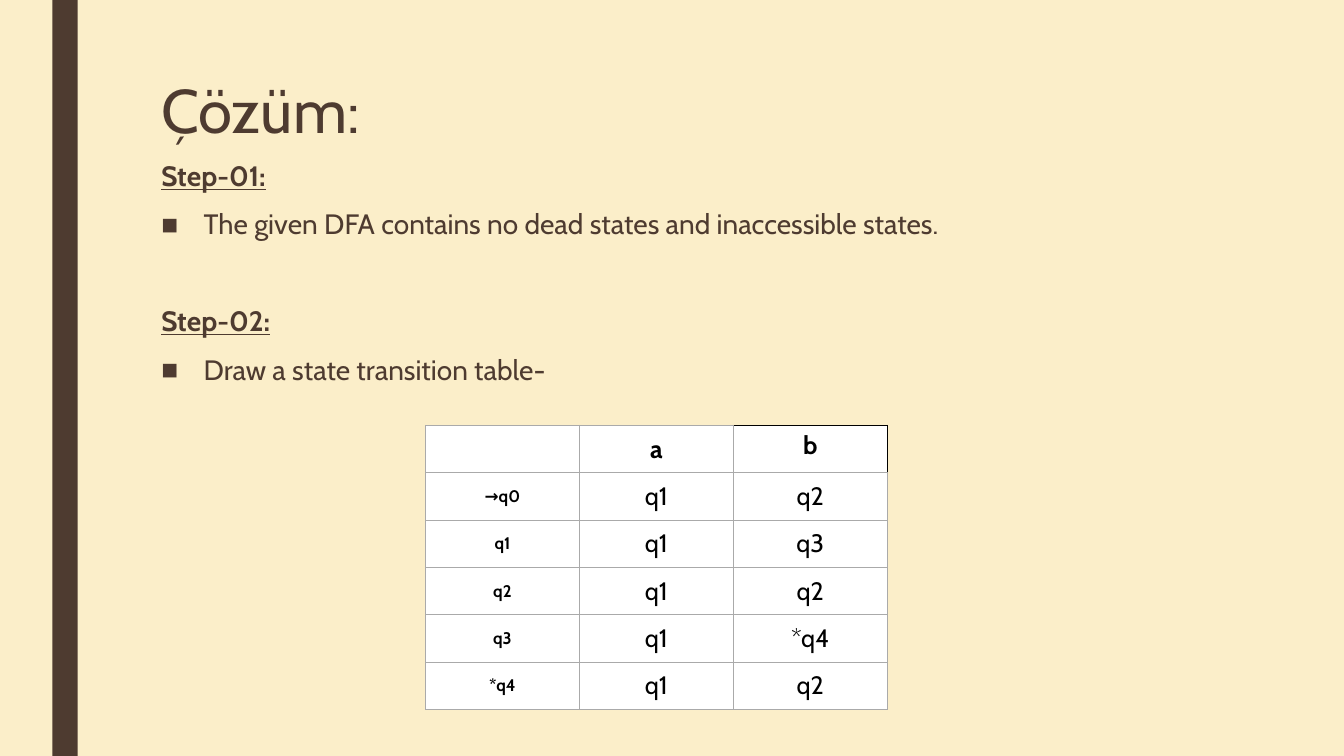
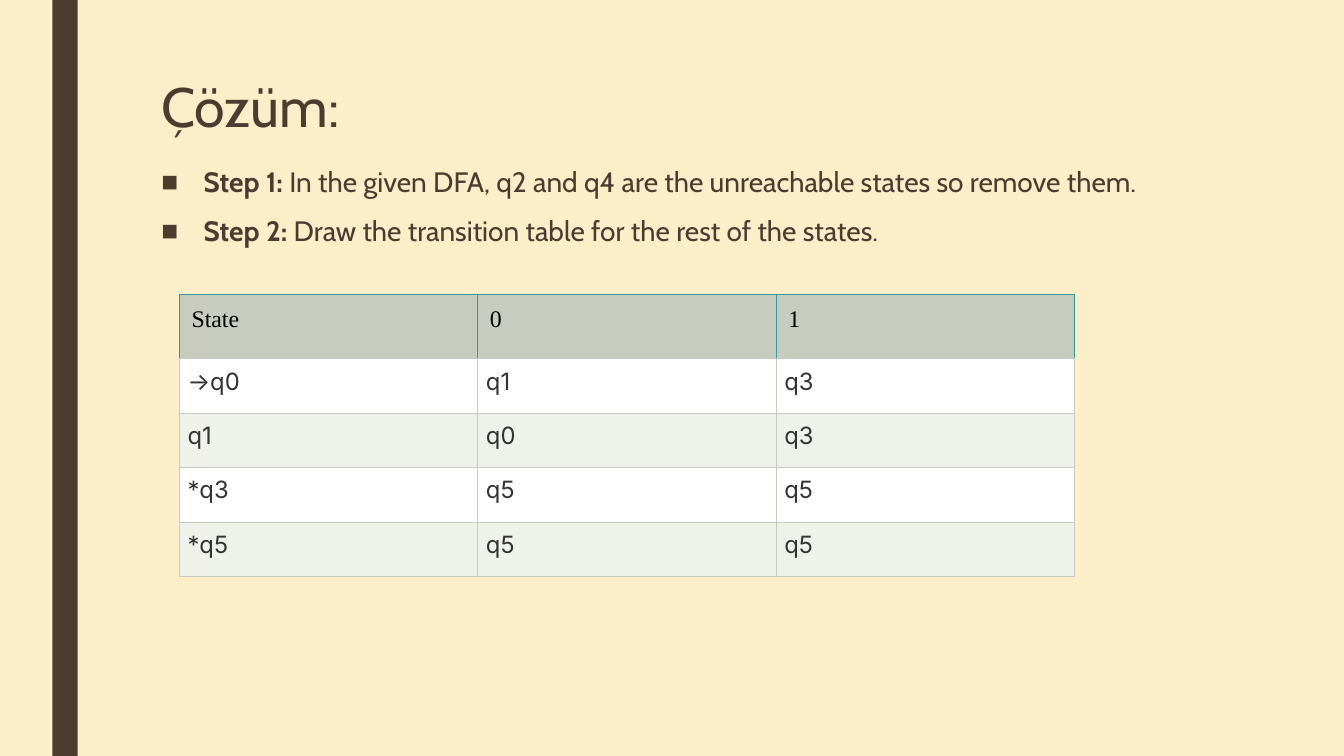
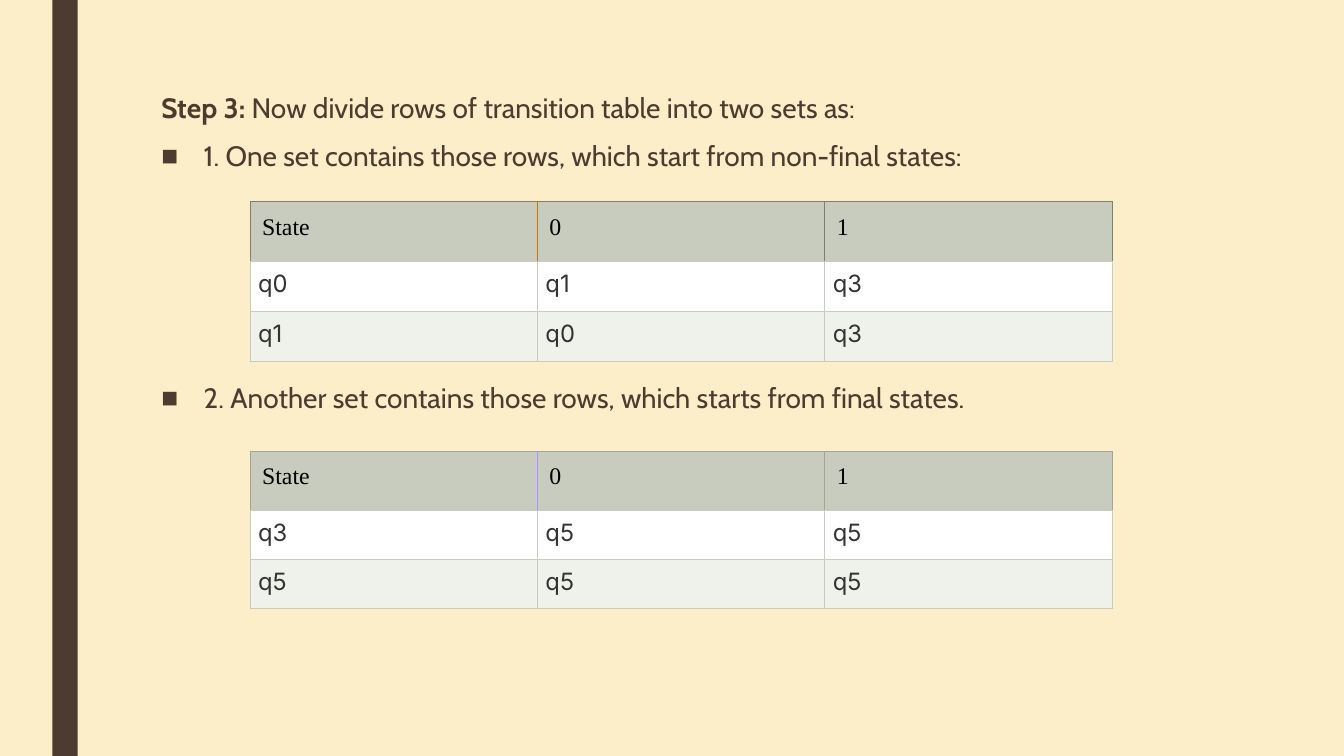
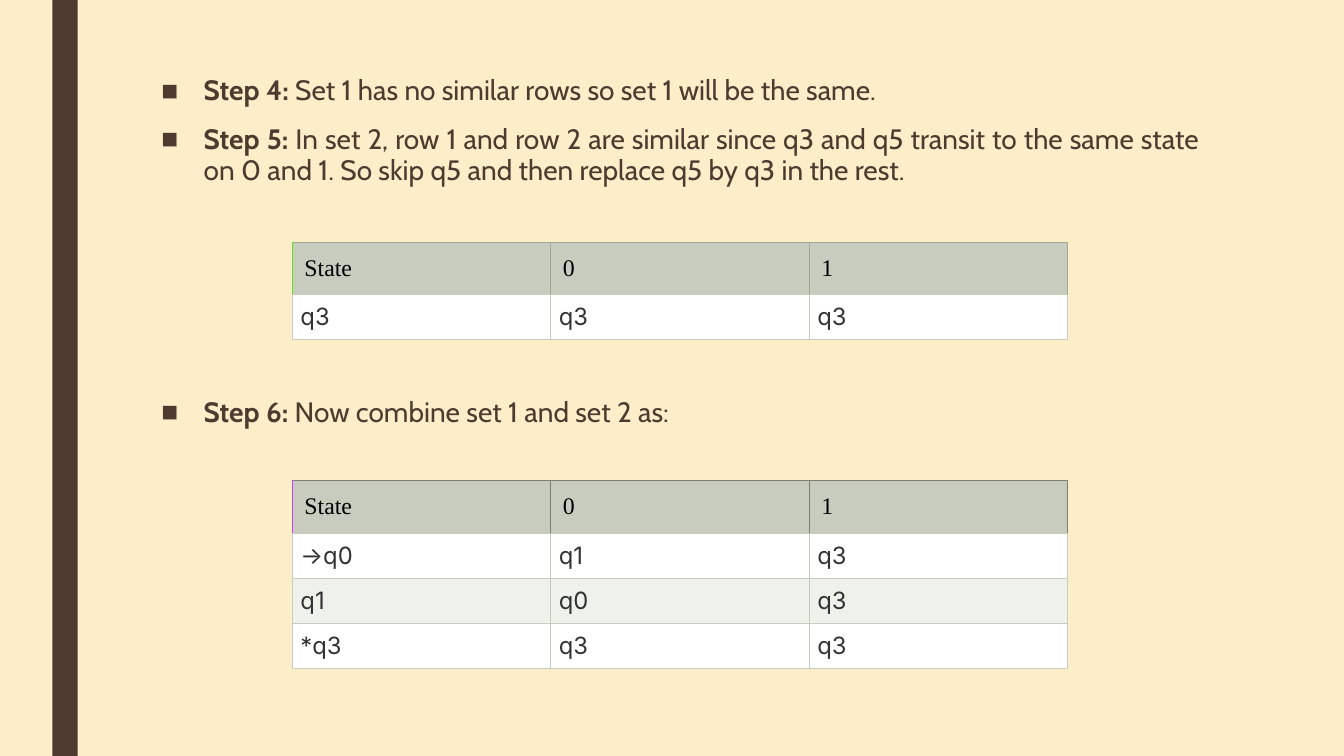
from dataclasses import dataclass, field

from lxml import etree
from pptx import Presentation
from pptx.dml.color import RGBColor
from pptx.enum.shapes import MSO_SHAPE
from pptx.enum.text import MSO_ANCHOR, MSO_AUTO_SIZE, PP_ALIGN
from pptx.oxml.ns import qn
from pptx.presentation import Presentation as Deck
from pptx.slide import Slide
from pptx.table import Table, _Cell
from pptx.util import Inches, Pt

RECT = MSO_SHAPE.RECTANGLE
TOP, MIDDLE = MSO_ANCHOR.TOP, MSO_ANCHOR.MIDDLE
LEFT, CENTER, JUSTIFY = PP_ALIGN.LEFT, PP_ALIGN.CENTER, PP_ALIGN.JUSTIFY
NO_FIT = MSO_AUTO_SIZE.NONE

CREAM, BROWN, BLACK, WHITE = "FBEEC9", "4E3B30", "000000", "FFFFFF"
SAGE, MIST, INK, GREY = "C7CCBE", "EFF1EB", "333333", "AAAAAA"
MOSS, STONE, TEAL = "7F816E", "A3A695", "309B9B"
SANS = "Cabin"
X, WIDTH = 1.5, 10.5
HANG = 0.42
GAP = 10
BLANK = 34.5  # height of one text line with its spacing, in points


@dataclass
class Line:
    lead: str = ""
    rest: str = ""
    bullet: bool = True
    under: bool = False
    gap: float = GAP


@dataclass
class Look:
    font: str
    size: float
    color: str
    pad: tuple[float, float]
    bold: bool = False
    align: PP_ALIGN = LEFT
    anchor: MSO_ANCHOR = TOP


@dataclass
class Style:
    head: Look
    label: Look
    body: Look
    fills: tuple[str, str, str]
    line: str


@dataclass
class Grid:
    left: float
    top: float
    width: float
    head: float
    row: float
    cells: list[str]
    edge: str
    marks: dict[tuple[int, str], str] = field(default_factory=dict)


PAD = (0.1, 0.08)
STATE = Look("Inter", 17, INK, (0.08, 0.08), align=JUSTIFY)
STATES = Style(Look("Times New Roman", 17, BLACK, (0.12, 0.12)), STATE, STATE,
               (SAGE, WHITE, MIST), SAGE)
MATRIX = Style(Look(SANS, 18, BLACK, PAD, True, CENTER, MIDDLE),
               Look(SANS, 12, BLACK, PAD, True, CENTER, MIDDLE),
               Look(SANS, 18, BLACK, PAD, False, CENTER, MIDDLE),
               (WHITE, WHITE, WHITE), GREY)


def rgb(code: str) -> RGBColor:
    return RGBColor.from_string(code)


def add_bar(deck: Deck, slide: Slide) -> None:
    """Draw the side bar and hand it to the master, so all slides share it."""
    bar = slide.shapes.add_shape(RECT, Inches(0.52), 0, Inches(0.25), deck.slide_height)
    bar.shadow.inherit = False
    bar.fill.solid()
    bar.fill.fore_color.rgb = rgb(BROWN)
    bar.line.fill.background()
    deck.slide_master.shapes.element.insert(2, bar.element)


def place(shape, top: float, height: float) -> None:
    shape.left, shape.top = Inches(X), Inches(top)
    shape.width, shape.height = Inches(WIDTH), Inches(height)
    frame = shape.text_frame
    frame.word_wrap = True
    frame.auto_size = NO_FIT
    frame.vertical_anchor = TOP


def set_font(para, name: str, size: float, color: str) -> None:
    para.font.name = name
    para.font.size = Pt(size)
    para.font.color.rgb = rgb(color)


def set_title(slide: Slide, text: str, size: float, height: float) -> None:
    title = slide.shapes.title
    place(title, 0.75, height)
    title.text_frame.text = text
    para = title.text_frame.paragraphs[0]
    para.alignment = LEFT
    para.line_spacing = 0.89
    set_font(para, SANS, size, BROWN)


def set_bullet(para, shown: bool) -> None:
    props = para._p.get_or_add_pPr()
    hang = Inches(HANG) if shown else 0
    props.set("marL", str(hang))
    props.set("indent", str(-hang))
    if shown:
        etree.SubElement(props, qn("a:buFont")).set("typeface", "Arial")
        etree.SubElement(props, qn("a:buChar")).set("char", "■")
    else:
        etree.SubElement(props, qn("a:buNone"))


def set_body(slide: Slide, top: float, height: float, lines: list[Line],
             align: PP_ALIGN = LEFT) -> None:
    body = slide.placeholders[1]
    place(body, top, height)
    frame = body.text_frame
    for i, line in enumerate(lines):
        para = frame.add_paragraph() if i else frame.paragraphs[0]
        para.alignment = align
        para.line_spacing = 0.94
        para.space_before, para.space_after = Pt(line.gap), Pt(2)
        set_bullet(para, line.bullet)
        set_font(para, SANS, 20, BROWN)
        if line.lead:
            run = para.add_run()
            run.text = line.lead
            run.font.bold = True
            run.font.underline = line.under
        if line.rest:
            para.add_run().text = line.rest


def set_edges(cell: _Cell, colors: dict[str, str]) -> None:
    props = cell._tc.get_or_add_tcPr()
    for side, color in colors.items():
        line = etree.SubElement(props, qn(f"a:ln{side}"), w=str(Pt(0.75)))
        fill = etree.SubElement(line, qn("a:solidFill"))
        etree.SubElement(fill, qn("a:srgbClr"), val=color)


def fill_cell(cell: _Cell, text: str, look: Look, fill: str) -> None:
    cell.fill.solid()
    cell.fill.fore_color.rgb = rgb(fill)
    cell.margin_left = cell.margin_right = Inches(look.pad[0])
    cell.margin_top = cell.margin_bottom = Inches(look.pad[1])
    cell.vertical_anchor = look.anchor
    cell.text = text
    para = cell.text_frame.paragraphs[0]
    para.alignment = look.align
    para.font.bold = look.bold
    set_font(para, look.font, look.size, look.color)


def add_grid(slide: Slide, grid: Grid, style: Style = STATES) -> Table:
    """Add a table; each string in grid.cells is one row, split at bars."""
    rows = [row.split("|") for row in grid.cells]
    count = len(rows[0])
    height = grid.head + grid.row * (len(rows) - 1)
    table = slide.shapes.add_table(
        len(rows), count, Inches(grid.left), Inches(grid.top),
        Inches(grid.width), Inches(height)).table
    table.first_row = table.horz_banding = False
    for r, row in enumerate(rows):
        table.rows[r].height = Inches(grid.row if r else grid.head)
        fill = style.fills[2 - r % 2 if r else 0]
        for c, text in enumerate(row):
            cell = table.cell(r, c)
            edges = dict.fromkeys(("L", "R", "T", "B"), style.line)
            if r == 0:
                for side in ("L", "R", "T"):
                    edges[side] = grid.marks.get((c, side), grid.edge)
                look = style.head
            else:
                look = style.body if c else style.label
            set_edges(cell, edges)
            fill_cell(cell, text, look, fill)
    return table


def add_slide(deck: Deck, titled: bool) -> Slide:
    slide = deck.slides.add_slide(deck.slide_layouts[1])
    if not titled:
        title = slide.shapes.title.element
        title.getparent().remove(title)
    return slide


def draw_table(deck: Deck) -> None:
    slide = add_slide(deck, True)
    add_bar(deck, slide)
    set_title(slide, "Çözüm:", 44, 0.87)
    set_body(slide, 1.55, 5.56, [
        Line("Step-01:", bullet=False, under=True),
        Line(rest="The given DFA contains no dead states and inaccessible states."),
        Line("Step-02:", bullet=False, under=True, gap=GAP + BLANK),
        Line(rest="Draw a state transition table-"),
    ])
    table = add_grid(slide, Grid(
        4.22, 4.22, 4.58, 0.47, 0.47,
        ["|a|b", "→q0|q1|q2", "q1|q1|q3", "q2|q1|q2", "q3|q1|*q4", "*q4|q1|q2"],
        GREY, {(2, "T"): BLACK, (2, "R"): BLACK}), MATRIX)
    corner = table.cell(0, 2)
    corner.vertical_anchor = TOP
    corner.margin_top = Inches(0.05)


def draw_reach(deck: Deck) -> None:
    slide = add_slide(deck, True)
    set_title(slide, "Çözüm:", 39.6, 0.75)
    set_body(slide, 1.61, 4.81, [
        Line("Step 1:", " In the given DFA, q2 and q4 are the unreachable states so remove them."),
        Line("Step 2:", " Draw the transition table for the rest of the states."),
    ])
    add_grid(slide, Grid(
        1.78, 2.92, 8.88, 0.64, 0.54,
        ["State|0|1", "→q0|q1|q3", "q1|q0|q3", "*q3|q5|q5", "*q5|q5|q5"], TEAL))


def draw_sets(deck: Deck) -> None:
    slide = add_slide(deck, False)
    set_body(slide, 0.87, 6.03, [
        Line("Step 3:", " Now divide rows of transition table into two sets as:", bullet=False),
        Line(rest="1. One set contains those rows, which start from non-final states:"),
        Line(rest="2. Another set contains those rows, which starts from final states.",
             gap=GAP + 4 * BLANK),
    ])
    for top, head, row, cells, edge, mark in (
        (2, 0.59, 0.5, ["State|0|1", "q0|q1|q3", "q1|q0|q3"], MOSS, "C07809"),
        (4.48, 0.58, 0.49, ["State|0|1", "q3|q5|q5", "q5|q5|q5"], STONE, "B090FB"),
    ):
        add_grid(slide, Grid(2.48, top, 8.55, head, row, cells, edge,
                             {(0, "R"): mark, (1, "L"): mark}))


def draw_merge(deck: Deck) -> None:
    slide = add_slide(deck, False)
    set_body(slide, 0.7, 5.72, [
        Line("Step 4:", " Set 1 has no similar rows so set 1 will be the same."),
        Line("Step 5:", " In set 2, row 1 and row 2 are similar since q3 and q5 transit to "
             "the same state on 0 and 1. So skip q5 and then replace q5 by q3 in the rest."),
        Line("Step 6:", " Now combine set 1 and set 2 as:", gap=GAP + 4 * BLANK),
    ], JUSTIFY)
    for top, head, cells, edge, mark in (
        (2.41, 0.51, ["State|0|1", "q3|q3|q3"], STONE, "60E621"),
        (4.77, 0.52, ["State|0|1", "→q0|q1|q3", "q1|q0|q3", "*q3|q3|q3"], MOSS, "D03DFB"),
    ):
        add_grid(slide, Grid(2.9, top, 7.69, head, 0.44, cells, edge, {(0, "L"): mark}))


def main() -> None:
    deck = Presentation()
    deck.slide_width, deck.slide_height = Inches(13.33), Inches(7.5)
    back = deck.slide_master.background.fill
    back.solid()
    back.fore_color.rgb = rgb(CREAM)
    for draw in (draw_table, draw_reach, draw_sets, draw_merge):
        draw(deck)
    deck.save("out.pptx")


if __name__ == "__main__":
    main()
